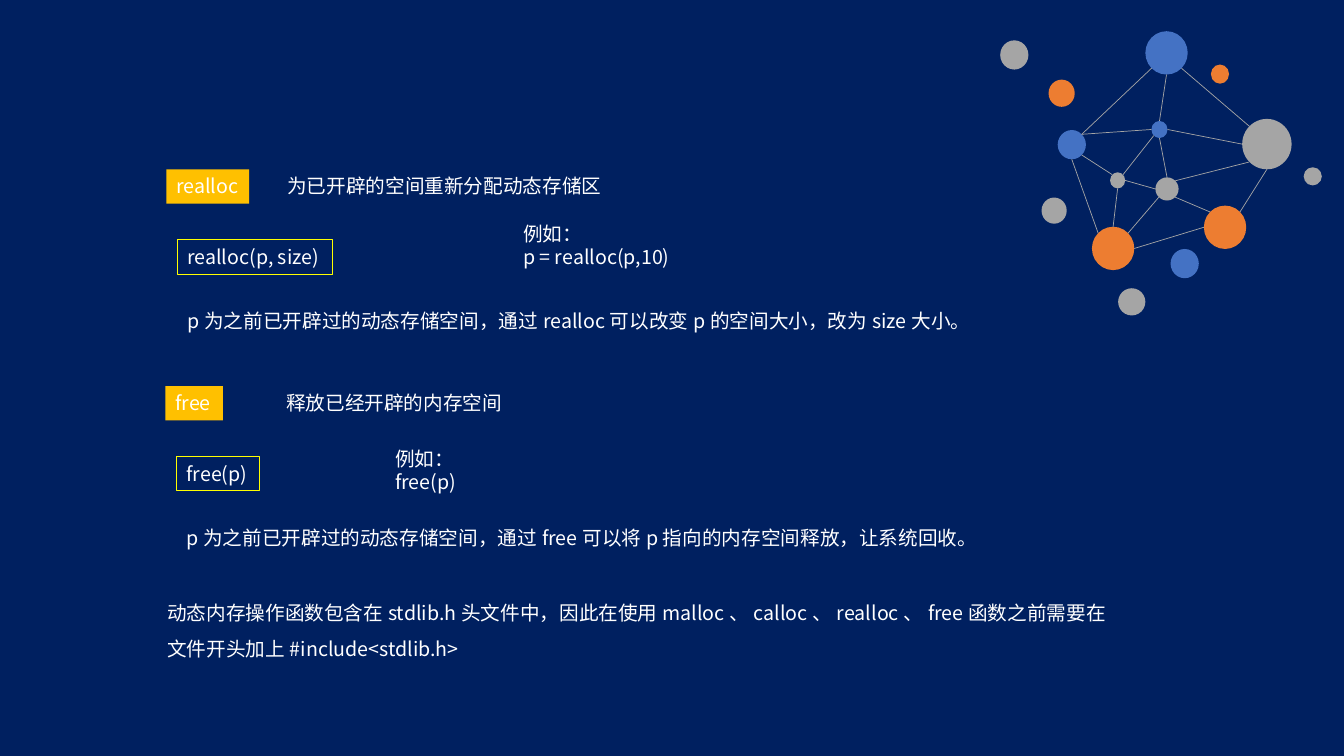
from lxml import etree
from pptx import Presentation
from pptx.dml.color import RGBColor
from pptx.enum import shapes, text
from pptx.oxml import ns
from pptx.util import Inches, Pt

NAVY = RGBColor(0x00, 0x20, 0x60)
WHITE = RGBColor(0xFF, 0xFF, 0xFF)
AMBER = RGBColor(0xFF, 0xC0, 0x00)
YELLOW = RGBColor(0xFF, 0xFF, 0x00)
BLUE = RGBColor(0x44, 0x72, 0xC4)
ORANGE = RGBColor(0xED, 0x7D, 0x31)
GRAY = RGBColor(0xA5, 0xA5, 0xA5)
FONT = "Noto Sans CJK SC"
LINE_HEIGHT = 0.34

SECTIONS = [
    {"left": 1.65, "top": 1.68,
     "name": ("realloc", 0.82),
     "purpose": ("为已开辟的空间重新分配动态存储区", 3.41),
     "signature": ("realloc(p, size)", 1.54),
     "note": ("p为之前已开辟过的动态存储空间，通过realloc可以改变p的空间大小，改为size大小。", 7.79),
     "example": ("例如：\np = realloc(p,10)", 5.09, 2.15, 1.75)},
    {"left": 1.64, "top": 3.83,
     "name": ("free", 0.57),
     "purpose": ("释放已经开辟的内存空间", 2.36),
     "signature": ("free(p)", 0.82),
     "note": ("p为之前已开辟过的动态存储空间，通过free可以将p指向的内存空间释放，让系统回收。", 8.08),
     "example": ("例如：\nfree(p)", 3.82, 4.38, 0.82)},
]
OFFSETS = {"name": (0, 0), "purpose": (1.1, 0), "signature": (0.11, 0.7), "note": (0.11, 1.34)}
SUMMARY = ("动态内存操作函数包含在stdlib.h头文件中，因此在使用malloc、calloc、realloc、free"
           "函数之前需要在文件开头加上#include<stdlib.h>")

NODES = {
    "top": (11.36, 0.31, 0.42, 0.43, BLUE),
    "low left": (10.83, 2.25, 0.42, 0.43, ORANGE),
    "hub": (11.46, 1.76, 0.23, 0.23, GRAY),
    "left": (10.49, 1.29, 0.28, 0.29, BLUE),
    "right": (12.32, 1.18, 0.49, 0.5, GRAY),
    "middle": (11.42, 1.2, 0.16, 0.17, BLUE),
    "low right": (11.94, 2.04, 0.42, 0.43, ORANGE),
    "small": (11.01, 1.71, 0.15, 0.16, GRAY),
}
LOOSE_DOTS = [
    (12.01, 0.64, 0.18, 0.19, ORANGE),
    (11.61, 2.47, 0.28, 0.29, BLUE),
    (10.4, 0.79, 0.26, 0.27, ORANGE),
    (9.92, 0.4, 0.28, 0.29, GRAY),
    (11.09, 2.86, 0.27, 0.27, GRAY),
    (10.33, 1.96, 0.25, 0.26, GRAY),
    (12.93, 1.66, 0.18, 0.18, GRAY),
]
LINKS = [
    ("top", "SE", "right", "NW"), ("hub", "NE", "right", "SW"),
    ("low right", "NE", "right", "S"), ("low left", "NE", "hub", "SW"),
    ("left", "NE", "top", "SW"), ("middle", "N", "top", "S"),
    ("right", "W", "middle", "E"), ("middle", "S", "hub", "N"),
    ("hub", "SE", "low right", "NW"), ("left", "NE", "middle", "W"),
    ("left", "S", "low left", "NW"), ("left", "SE", "small", "NW"),
    ("small", "NE", "middle", "SW"), ("small", "E", "hub", "W"),
    ("low left", "N", "small", "S"), ("low left", "E", "low right", "W"),
]


def write(box, words, wrap=False, spacing=None):
    """Fill a box with white left-aligned text, one paragraph per line."""
    frame = box.text_frame
    frame.text = words
    frame.word_wrap = wrap
    frame.auto_size = text.MSO_AUTO_SIZE.SHAPE_TO_FIT_TEXT
    frame.vertical_anchor = text.MSO_ANCHOR.TOP
    for para in frame.paragraphs:
        para.alignment = text.PP_ALIGN.LEFT
        para.line_spacing = spacing
        para.font.size = Pt(14)
        para.font.color.rgb = WHITE
        for span in para.runs:
            span.font.name = FONT
            east = etree.SubElement(span.font._element, ns.qn("a:ea"))
            east.set("typeface", FONT)


def add_label(page, role, words, left, top, width):
    """Add one line of a section: a filled name, a framed signature or plain text."""
    area = [Inches(value) for value in (left, top, width, LINE_HEIGHT)]
    if role in ("name", "signature"):
        box = page.shapes.add_shape(shapes.MSO_SHAPE.RECTANGLE, *area)
        box.shadow.inherit = False
        if role == "name":
            box.fill.solid()
            box.fill.fore_color.rgb = AMBER
            box.line.fill.background()
        else:
            box.fill.background()
            box.line.color.rgb = YELLOW
            box.line.width = Pt(0.75)
    else:
        box = page.shapes.add_textbox(*area)
    write(box, words)


def add_section(page, section):
    """Place the parts of one function's section and its example."""
    for role, (across, down) in OFFSETS.items():
        words, width = section[role]
        add_label(page, role, words, section["left"] + across, section["top"] + down, width)
    words, left, top, width = section["example"]
    write(page.shapes.add_textbox(Inches(left), Inches(top), Inches(width), Inches(0.57)), words)


def rim_point(node, compass):
    """Return the point of a node's rim that lies in a compass direction."""
    left, top, width, height, _ = NODES[node]
    across = ("E" in compass) - ("W" in compass)
    down = ("S" in compass) - ("N" in compass)
    reach = 0.5 / len(compass) ** 0.5
    return (Inches(left + width * (0.5 + across * reach)),
            Inches(top + height * (0.5 + down * reach)))


def add_network(page):
    """Draw the dots and the links between them as one group."""
    group = page.shapes.add_group_shape()
    for *area, color in [*NODES.values(), *LOOSE_DOTS]:
        dot = group.shapes.add_shape(shapes.MSO_SHAPE.OVAL, *(Inches(value) for value in area))
        dot.shadow.inherit = False
        dot.fill.solid()
        dot.fill.fore_color.rgb = color
        dot.line.fill.background()
    for start, leaving, end, arriving in LINKS:
        link = group.shapes.add_connector(
            shapes.MSO_CONNECTOR.STRAIGHT, *rim_point(start, leaving), *rim_point(end, arriving))
        link.line.color.rgb = GRAY
        link.line.width = Pt(0.5)
        etree.SubElement(link._element.spPr, ns.qn("a:effectLst"))


def main():
    """Build the slide and save the deck."""
    deck = Presentation()
    deck.slide_width, deck.slide_height = Inches(13.33), Inches(7.5)
    page = deck.slides.add_slide(deck.slide_layouts[6])
    page.background.fill.solid()
    page.background.fill.fore_color.rgb = NAVY
    for section in SECTIONS:
        add_section(page, section)
    add_network(page)
    box = page.shapes.add_textbox(Inches(1.56), Inches(5.8), Inches(9.61), Inches(0.77))
    write(box, SUMMARY, wrap=True, spacing=1.5)
    deck.save("out.pptx")


if __name__ == "__main__":
    main()
